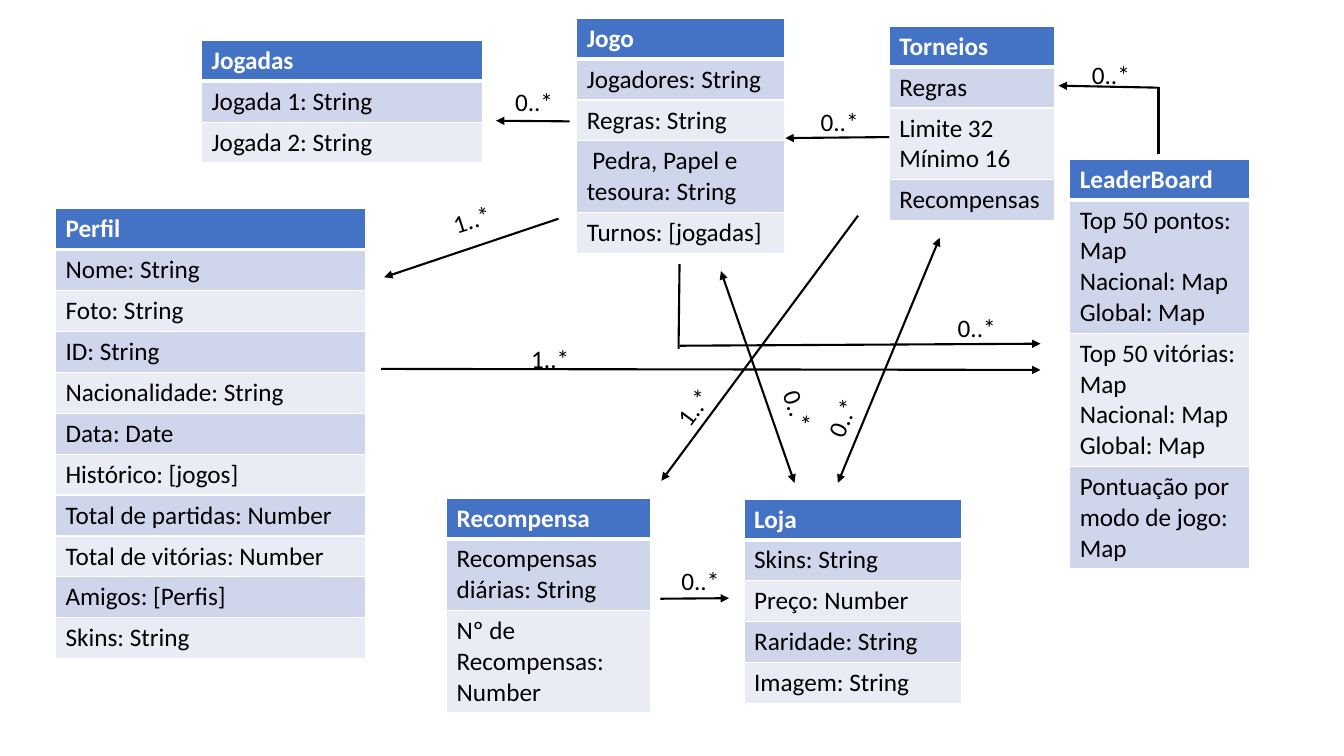
from lxml import etree
from pptx import Presentation, util as u
from pptx.dml.color import RGBColor
from pptx.enum import shapes, text
from pptx.oxml import ns

HEADER, BANDS = "4472C4", ("CFD5EA", "E9EBF5")
WHITE, BLACK = "FFFFFF", "000000"
ROW = 4.06


def color(code):
    """Turn a hex string into a colour."""
    return RGBColor.from_string(code)


def grid(count):
    """Length of a number of grid columns or rows, ten to the inch."""
    return u.Inches(count / 10)


def add_xml(parent, tag, **attributes):
    """Append an element such as a:ln and return it."""
    return etree.SubElement(parent, ns.qn(tag), **attributes)


class Diagram:
    """Holds the text style and the current page."""

    def __init__(self, page, font="Calibri", size=18):
        """Remember the page, the font and the text size."""
        self.page, self.font, self.size = page, font, size

    def style(self, frame, code, bold=False):
        """Set one font on all paragraphs of a text frame."""
        for para in frame.paragraphs:
            para.font.name, para.font.size = self.font, u.Pt(self.size)
            para.font.bold = bold
            para.font.color.rgb = color(code)

    def cell(self, cell, words, index):
        """Fill one cell; the first one is the heading."""
        heading = index == 0
        cell.text = words
        self.style(cell.text_frame, WHITE if heading else BLACK, heading)
        properties = cell._tc.get_or_add_tcPr()
        for side in "LRTB":
            thick = (heading and side == "B") or (index == 1 and side == "T")
            border = add_xml(properties, f"a:ln{side}", w=str(u.Pt(3 if thick else 1)))
            add_xml(add_xml(border, "a:solidFill"), "a:srgbClr", val=WHITE)
        cell.fill.solid()
        cell.fill.fore_color.rgb = color(HEADER if heading else BANDS[(index - 1) % 2])

    def entity(self, left, top, width, *rows):
        """Draw a class as a one-column table."""
        frame = self.page.shapes.add_table(
            len(rows), 1, grid(left), grid(top), grid(width), grid(ROW * len(rows)))
        for index, words in enumerate(rows):
            frame.table.rows[index].height = grid(ROW)
            self.cell(frame.table.cell(index, 0), words, index)

    def line(self, start, end, *arrows):
        """Draw a line with arrowheads at the named ends."""
        link = self.page.shapes.add_connector(
            shapes.MSO_CONNECTOR.STRAIGHT, *map(grid, start + end))
        link.line.color.rgb, link.line.width = color(BLACK), u.Pt(1.5)
        for arrow in arrows:
            add_xml(link.line._get_or_add_ln(), f"a:{arrow}", type="triangle")
        add_xml(link._element.spPr, "a:effectLst")

    def label(self, left, top, width, words="0..*", turn=0):
        """Write a multiplicity beside its line."""
        box = self.page.shapes.add_textbox(grid(left), grid(top), grid(width), grid(4))
        box.rotation = turn
        frame = box.text_frame
        frame.word_wrap = True
        frame.auto_size = text.MSO_AUTO_SIZE.SHAPE_TO_FIT_TEXT
        frame.text = words
        self.style(frame, BLACK)


deck = Presentation()
deck.slide_width, deck.slide_height = u.Inches(13.33), u.Inches(7.5)
diagram = Diagram(deck.slides.add_slide(deck.slide_layouts[6]))

ENTITIES = [
    (73.8, 49.5, 21.6, "Loja", "Skins:\u00a0String", "Preço: Number",
     "Raridade: String", "Imagem: String"),
    (106.1, 15.8, 17.8, "LeaderBoard",
     "Top 50 pontos: Map\vNacional: Map\vGlobal: Map",
     "Top 50 vitórias: Map\nNacional: Map\nGlobal: Map",
     "Pontuação por\u00a0\nmodo de jogo: Map"),
    (88.2, 2.6, 16.4, "Torneios", "Regras", "Limite 32\nMínimo 16", "Recompensas"),
    (44.3, 49.4, 20.2, "Recompensa", "Recompensas diárias: String",
     "Nº de Recompensas: Number"),
    (5.5, 20.7, 30.8, "Perfil", "Nome: String", "Foto: String", "ID: String",
     "Nacionalidade: String", "Data: Date", "Histórico: [jogos]",
     "Total de partidas: Number", "Total de vitórias: Number",
     "Amigos: [Perfis]", "Skins: String"),
    (57.2, 1.8, 20.6, "Jogo", "Jogadores: String", "Regras: String",
     "\u00a0Pedra, Papel e tesoura: String", "Turnos: [jogadas]"),
    (20, 4, 27.9, "Jogadas", "Jogada 1: String", "Jogada 2: String"),
]
for entity in ENTITIES:
    diagram.entity(*entity)

PLAIN, ONE_WAY, TWO_WAY = (), ("tailEnd",), ("headEnd", "tailEnd")
LINES = [
    ((56.5, 12.04), (49.2, 11.98), ONE_WAY),
    ((88.2, 13.6), (77.9, 13.7), ONE_WAY),
    ((114.9, 8.7), (105, 8.5), ONE_WAY),
    ((114.9, 8.6), (114.9, 15.3), PLAIN),
    ((67.4, 26.2), (67.3, 34.6), PLAIN),
    ((67.4, 34.3), (103.2, 34.1), ONE_WAY),
    ((71.5, 26.9), (78.8, 47.9), TWO_WAY),
    ((93.2, 23.6), (83.1, 47.9), TWO_WAY),
    ((37.8, 36.6), (103.2, 36.7), ONE_WAY),
    ((55.4, 21.7), (38.1, 27.5), ONE_WAY),
    ((85.1, 21.4), (65.6, 47.7), ONE_WAY),
    ((65.5, 59.4), (72.3, 59.35), ONE_WAY),
]
for start, end, arrows in LINES:
    diagram.line(start, end, *arrows)

LABELS = [
    (50.1, 8.1, 9.4), (51.7, 33.6, 7.8, "1..*"), (94, 30.5, 9.7),
    (66.6, 55.6, 6.3), (65.7, 38, 6.7, "1..*", 307),
    (75.1, 40.2, 9.2, "0..*", 71), (79, 37, 11.1, "0..*", 293),
    (107.3, 5.4, 9.1), (80.4, 10.1, 6.3), (43.8, 19.1, 9.9, "1..*", 342),
]
for label in LABELS:
    diagram.label(*label)

deck.save("out.pptx")
